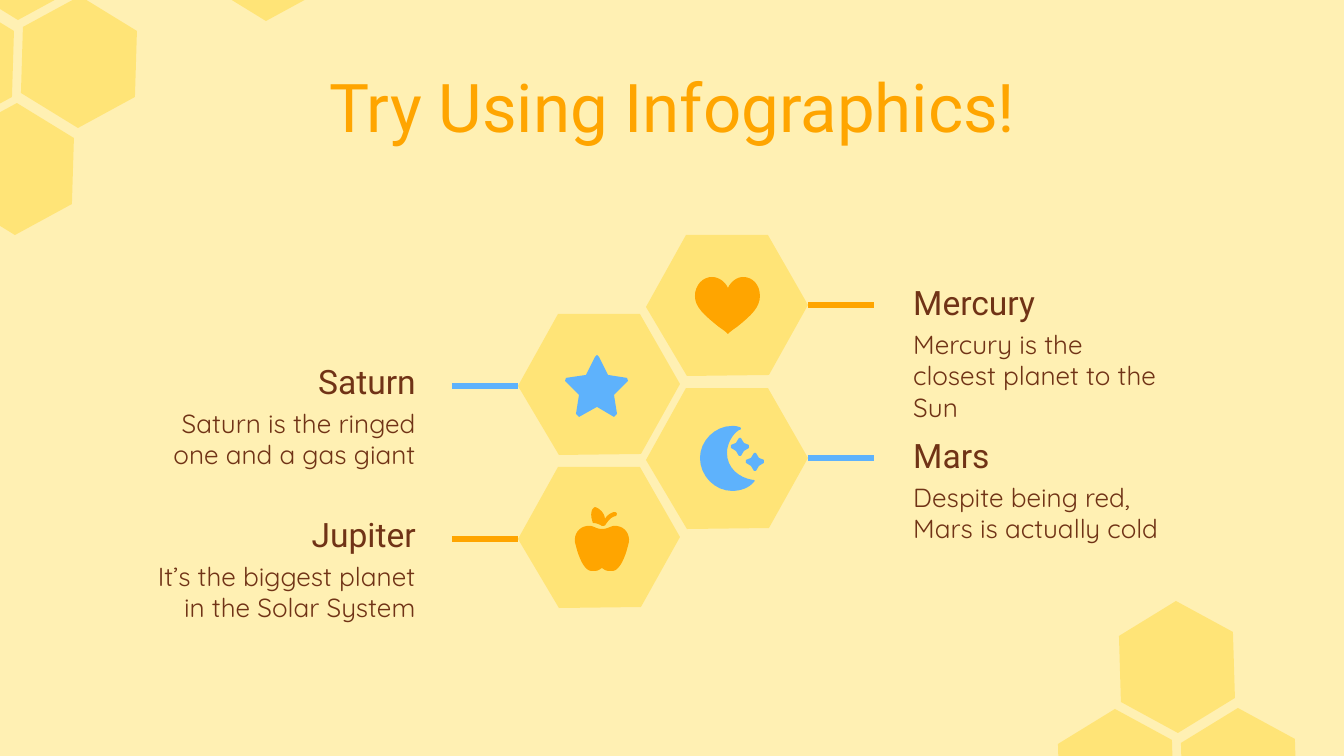
from lxml import etree
from pptx import Presentation, util as u
from pptx.dml.color import RGBColor
from pptx.enum import shapes, text
from pptx.oxml.ns import qn

COLORS = {"cream": "FFF0B3", "honey": "FFDB45", "orange": "FFA500",
          "blue": "5EB2FC", "brown": "703316"}
HONEY_ALPHA = 54000
PX = 914400 / 134.4
WIDTH, HEIGHT = 1344, 756
TITLE = "Try Using Infographics!"

TALL_HEXAGON = [(1, -66), (58, -31), (56, 35), (-1, 66), (-58, 31), (-56, -35)]
WIDE_HEXAGON = [(81, -1), (42, 69), (-40, 70), (-81, 1), (-41, -71), (41, -71)]
TOP_COMB = [(267, -45), (19, -46), (79, 62), (16, 169), (-44, 62)]
BOTTOM_COMB = [(1239, 774), (1177, 667), (1116, 775)]

HEART = [(-15, -29), (-24, -29, -32, -21, -32, -10), (-32, 1, -23, 9, -8, 21),
         (-5, 23, -2, 25, 1, 28), (4, 25, 7, 23, 10, 21), (25, 9, 33, 1, 33, -10),
         (33, -21, 26, -29, 16, -29), (11, -29, 4, -25, 1, -18), (-2, -25, -9, -29, -15, -29)]
STAR = [(-2, -30), (-4, -28), (-13, -10), (-33, -7), (-34, -4), (-20, 10), (-23, 29),
        (-20, 32), (-2, 22), (15, 32), (18, 29), (15, 10), (29, -4), (28, -7), (9, -10), (0, -28)]
APPLE = [(-12, -12), (-20, -11, -25, -4, -24, 4), (-21, 17, -17, 27, -12, 31),
         (-10, 33, -8, 33, -5, 33), (-1, 33, 0, 32, 3, 30), (6, 32, 7, 33, 11, 33),
         (14, 33, 16, 33, 18, 31), (23, 27, 27, 17, 30, 4), (31, -4, 26, -11, 18, -12),
         (12, -13, 10, -9, 3, -9), (-4, -9, -5, -13, -12, -12)]
LEAF = [(-4, -31), (-8, -29, -9, -23, -6, -15), (-3, -15, 0, -14, 3, -12), (5, -12, 6, -12, 7, -14),
        (10, -18, 12, -21, 17, -22), (18, -23, 19, -26, 15, -26), (12, -25, 8, -23, 6, -19),
        (6, -25, 0, -30, -4, -31)]
MOON = [(5, -33), (-12, -33, -27, -18, -27, -1), (-27, 17, -12, 32, 5, 32),
        (14, 32, 22, 29, 27, 23), (28, 22, 28, 21, 26, 21), (12, 19, 0, 9, 0, -6),
        (0, -15, 5, -24, 12, -29), (15, -29, 14, -32, 12, -32), (9, -33, 7, -33, 5, -33)]
SPARKLE = [(-1, -9), (-4, -4), (-9, -2), (-9, 1), (-4, 4), (-1, 9),
           (1, 9), (4, 4), (9, 1), (9, -2), (4, -4), (1, -9)]

PLANETS = [
    ("Mercury", "Mercury is the closest planet to the Sun", "right", 0, "orange",
     [(HEART, 0, 0)]),
    ("Saturn", "Saturn is the ringed one and a gas giant", "left", 0, "blue",
     [(STAR, 0, 0)]),
    ("Jupiter", "It’s the biggest planet in the Solar System", "left", 1, "orange",
     [(APPLE, 0, 0), (LEAF, 0, 0)]),
    ("Mars", "Despite being red, Mars is actually cold", "right", 1, "blue",
     [(MOON, 0, 0), (SPARKLE, 13, -12), (SPARKLE, 28, 3)]),
]
COLUMNS = {
    "left": {"x": 599, "top": 385, "side": -1, "edge": 429, "align": text.PP_ALIGN.RIGHT},
    "right": {"x": 727, "top": 306, "side": 1, "edge": 900, "align": text.PP_ALIGN.LEFT},
}
ROW_STEP, LINE_LENGTH = 153, 66
NAME_SIZE, NOTE_SIZE = (204, 62), (285, 109)


def emu(px):
    return u.Emu(round(px * PX))


def rgb(name):
    return RGBColor.from_string(COLORS[name])


def flatten(outline, steps=8):
    points = [outline[0]]
    for segment in outline[1:]:
        if len(segment) == 2:
            points.append(segment)
            continue
        start, (a, b, c) = points[-1], zip(segment[::2], segment[1::2])
        for i in range(1, steps + 1):
            t = i / steps
            s = 1 - t
            points.append(tuple(s**3 * p + 3 * s * s * t * q + 3 * s * t * t * r + t**3 * e
                                for p, q, r, e in zip(start, a, b, c)))
    return points


def add_outline(page, outline, x, y, color, alpha=None):
    points = [(emu(x + dx), emu(y + dy)) for dx, dy in flatten(outline)]
    builder = page.shapes.build_freeform(*points[0], scale=1.0)
    builder.add_line_segments(points[1:], close=True)
    shape = builder.convert_to_shape()
    shape.shadow.inherit = False
    shape.fill.solid()
    shape.fill.fore_color.rgb = rgb(color)
    shape.line.fill.background()
    if alpha:
        tint = shape.fill._xPr.find(".//" + qn("a:srgbClr"))
        etree.SubElement(tint, qn("a:alpha"), val=str(alpha))


def add_text(page, words, x, y, size, font, points, color, align, anchor=text.MSO_ANCHOR.TOP):
    box = page.shapes.add_textbox(emu(x), emu(y), *map(emu, size))
    frame = box.text_frame
    frame.word_wrap = True
    frame.vertical_anchor = anchor
    frame.margin_left = frame.margin_right = frame.margin_top = frame.margin_bottom = u.Inches(0.1)
    para = frame.paragraphs[0]
    para.text = words
    para.alignment = align
    para.font.name = font
    para.font.size = u.Pt(points)
    para.font.color.rgb = rgb(color)


def add_line(page, x1, x2, y, color):
    line = page.shapes.add_connector(shapes.MSO_CONNECTOR.STRAIGHT,
                                     emu(x1), emu(y), emu(x2), emu(y))
    line.line.color.rgb = rgb(color)
    line.line.width = u.Pt(3)
    etree.SubElement(line._element.spPr, qn("a:effectLst"))


def add_planet(page, name, note, column, row, color, icon):
    spot = COLUMNS[column]
    x, y, side = spot["x"], spot["top"] + row * ROW_STEP, spot["side"]
    add_outline(page, WIDE_HEXAGON, x, y, "honey", HONEY_ALPHA)
    for outline, dx, dy in icon:
        add_outline(page, outline, x + dx, y + dy, color)
    tip = x + side * 81
    add_line(page, *sorted((tip, tip + side * LINE_LENGTH)), y - side, color)
    for words, dy, size, font, points, anchor in (
            (name, -32, NAME_SIZE, "Roboto", 18, text.MSO_ANCHOR.BOTTOM),
            (note, 9, NOTE_SIZE, "Quicksand", 14, text.MSO_ANCHOR.TOP)):
        left = spot["edge"] - (size[0] if side < 0 else 0)
        add_text(page, words, left, y + dy, size, font, points, "brown", spot["align"], anchor)


def main():
    deck = Presentation()
    deck.slide_width, deck.slide_height = emu(WIDTH), emu(HEIGHT)
    page = deck.slides.add_slide(deck.slide_layouts[6])
    page.background.fill.solid()
    page.background.fill.fore_color.rgb = rgb("cream")
    flipped = [(dx, -dy) for dx, dy in TALL_HEXAGON]
    for outline, centers in ((flipped, BOTTOM_COMB), (TALL_HEXAGON, TOP_COMB)):
        for x, y in centers:
            add_outline(page, outline, x, y, "honey", HONEY_ALPHA)
    add_text(page, TITLE, 69, 52, (1207, 98), "Roboto", 36, "orange", text.PP_ALIGN.CENTER)
    for planet in PLANETS:
        add_planet(page, *planet)
    deck.save("out.pptx")


if __name__ == "__main__":
    main()
